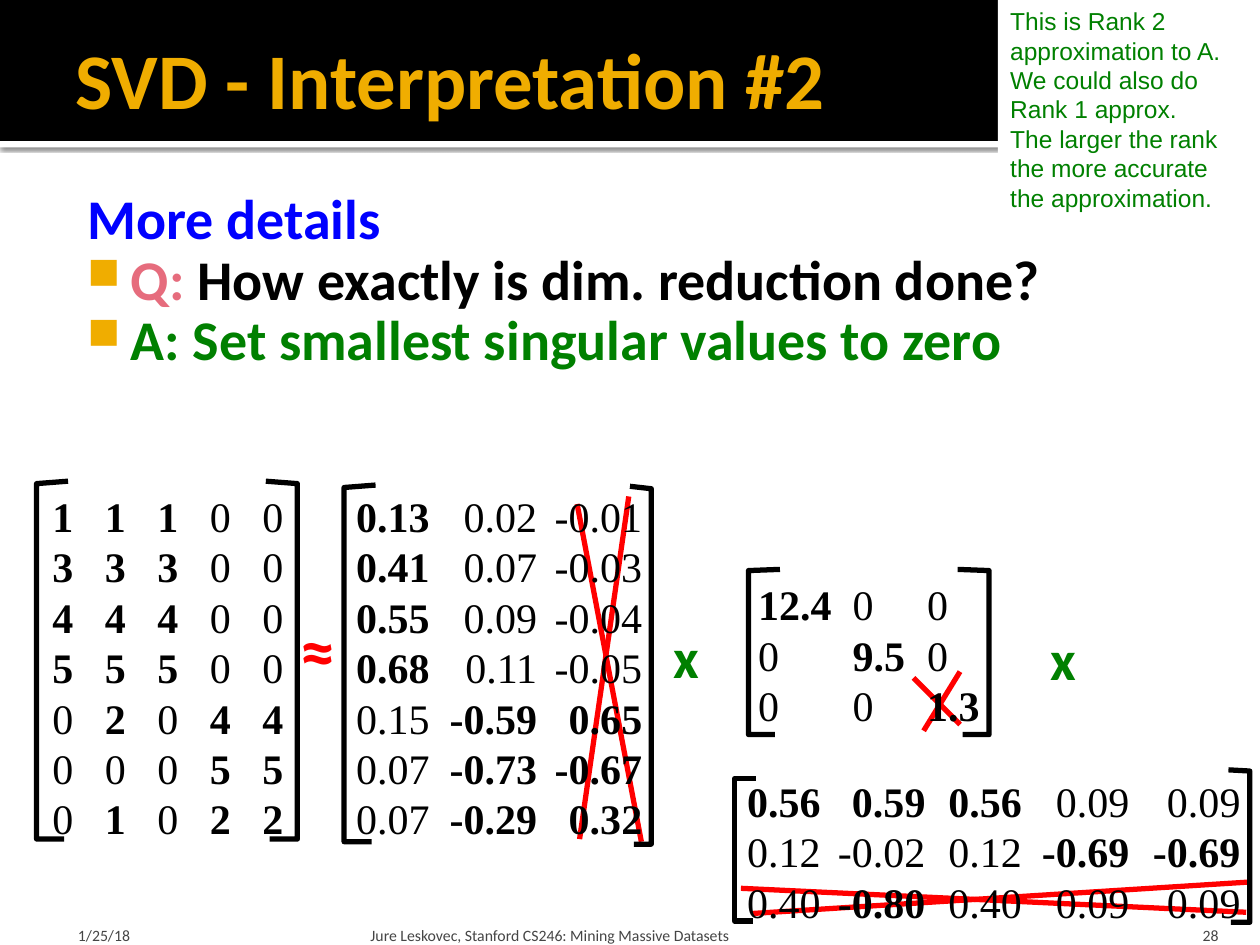
"""Build the slide on SVD dimensionality reduction with its matrix product."""
import pptx
import pptx.dml.color
import pptx.enum.shapes
import pptx.enum.text
import pptx.oxml
import pptx.oxml.ns
import pptx.util
from lxml import etree

Pt = pptx.util.Pt
RGBColor = pptx.dml.color.RGBColor
Anchor = pptx.enum.text.MSO_ANCHOR
Align = pptx.enum.text.PP_ALIGN
RECTANGLE = pptx.enum.shapes.MSO_SHAPE.RECTANGLE
qn = pptx.oxml.ns.qn
NAMESPACE = pptx.oxml.ns.nsdecls("a")

BLACK = RGBColor(0x00, 0x00, 0x00)
WHITE = RGBColor(0xFF, 0xFF, 0xFF)
GOLD = RGBColor(0xF0, 0xAD, 0x00)
BLUE = RGBColor(0x00, 0x00, 0xFF)
ROSE = RGBColor(0xE6, 0x6C, 0x7D)
GREEN = RGBColor(0x00, 0x80, 0x00)
RED = RGBColor(0xFF, 0x00, 0x00)
GRAY = RGBColor(0x45, 0x45, 0x45)


def prepare_frame(box, insets=(7.2, 3.6, 7.2, 3.6), anchor=Anchor.TOP):
    frame = box.text_frame
    frame.word_wrap = True
    frame.vertical_anchor = anchor
    frame.margin_left, frame.margin_top, frame.margin_right, frame.margin_bottom = map(Pt, insets)
    return frame


def style(para, name, size, color=None, bold=None):
    para.font.name = name
    para.font.size = Pt(size)
    para.font.bold = bold
    if color is not None:
        para.font.color.rgb = color


deck = pptx.Presentation()
deck.slide_width, deck.slide_height = Pt(720), Pt(540)
page = deck.slides.add_slide(deck.slide_layouts[6])
shapes = page.shapes

panels = []
for left, top, width, height, color in [
    (0, 80.6, 720, 3.6, WHITE),
    (0, 0, 720, 80.6, BLACK),
]:
    panel = shapes.add_shape(RECTANGLE, Pt(left), Pt(top), Pt(width), Pt(height))
    panel.shadow.inherit = False
    panel.fill.solid()
    panel.fill.fore_color.rgb = color
    panel.line.fill.background()
    panels.append(panel)
panels[0].element.spPr.find(qn("a:effectLst")).append(pptx.oxml.parse_xml(
    f'<a:outerShdw {NAMESPACE} blurRad="31750" dist="10160" dir="5400000">'
    '<a:srgbClr val="000000"><a:alpha val="60000"/></a:srgbClr></a:outerShdw>'))

title = shapes.add_textbox(Pt(36), Pt(5.8), Pt(648), Pt(77.8))
para = prepare_frame(title, (7.2, 3.6, 3.6, 3.6), Anchor.MIDDLE).paragraphs[0]
para.text = "SVD - Interpretation #2"
style(para, "Calibri", 45, GOLD, True)

body = shapes.add_textbox(Pt(36), Pt(102.2), Pt(648), Pt(200))
frame = prepare_frame(body, (4.3, 7.2, 7.2, 3.6))
for index, spans in enumerate([
    [("More details", BLUE)],
    [("Q:", ROSE), (" How exactly is dim. reduction done?", BLACK)],
    [("A: Set smallest singular values to zero", GREEN)],
]):
    para = frame.add_paragraph() if index else frame.paragraphs[0]
    para.line_spacing = 0.9
    props = para._p.get_or_add_pPr()
    props.set("marL", str(Pt(34.5)))
    props.set("indent", str(Pt(-25)))
    if index:
        for markup in (f'<a:buClr {NAMESPACE}><a:srgbClr val="{GOLD}"/></a:buClr>',
                       f'<a:buSzPct {NAMESPACE} val="80000"/>',
                       f'<a:buChar {NAMESPACE} char="■"/>'):
            props.append(pptx.oxml.parse_xml(markup))
    style(para, "Calibri", 32, bold=True)
    for text, color in spans:
        span = para.add_run()
        span.text = text
        span.font.color.rgb = color

for text, left, width, inset, align in [
    ("1/25/18", 36, 167.8, 8.6, Align.LEFT),
    ("Jure Leskovec, Stanford CS246: Mining Massive Datasets", 208.1, 433.4, 3.6, Align.LEFT),
    ("28", 645.8, 57.6, 7.2, Align.RIGHT),
]:
    footer = shapes.add_textbox(Pt(left), Pt(518.4), Pt(width), Pt(21.6))
    para = prepare_frame(footer, (inset, 3.6, inset, 0), Anchor.BOTTOM).paragraphs[0]
    para.text = text
    para.alignment = align
    style(para, "Calibri", 9, GRAY)

for ends in [
    (527.8, 417.6, 548.6, 383.8), (522, 387.4, 548.6, 414),
    (331.2, 479.5, 359.3, 283.7), (329.8, 288, 366.5, 481),
    (712.1, 521.3, 423.4, 507.6), (429.8, 522, 714.2, 504),
]:
    strike = shapes.add_connector(pptx.enum.shapes.MSO_CONNECTOR.STRAIGHT, *map(Pt, ends))
    strike.line.color.rgb = RED
    strike.line.width = Pt(3)
    etree.SubElement(strike._element.spPr, qn("a:effectLst"))

for top_tip, spine, bottom_tip, top, bottom, slant in [
    (38.9, 20.9, 36.7, 275, 479.5, 1.4), (151.9, 169.9, 154.1, 275, 479.5, 1.4),
    (214.6, 196.6, 212.4, 277.2, 481, 1.4), (360, 372.2, 362.2, 277.9, 482.4, 1.4),
    (445.7, 427.7, 442.8, 325.4, 419.8, 0.7), (547.2, 565.2, 550.1, 325.4, 419.8, 0.7),
    (432, 419.8, 430.6, 445, 526.3, 0), (702, 714.2, 703.4, 439.9, 527, 0.7),
]:
    outline = shapes.build_freeform(Pt(top_tip), Pt(top))
    outline.add_line_segments(
        [(Pt(spine), Pt(top + slant)), (Pt(spine), Pt(bottom)), (Pt(bottom_tip), Pt(bottom))],
        close=False)
    bracket = outline.convert_to_shape()
    bracket.shadow.inherit = False
    bracket.fill.background()
    bracket.line.color.rgb = BLACK
    bracket.line.width = Pt(3)

for left, top, width, inset, align, stops, rows in [
    (18, 275, 156.2, 12, "l", (30, 60, 90, 120), [
        "*1 *1 *1 0 0", "*3 *3 *3 0 0", "*4 *4 *4 0 0", "*5 *5 *5 0 0",
        "0 *2 0 *4 *4", "0 0 0 *5 *5", "0 *1 0 *2 *2"]),
    (186.5, 275, 198, 17, "r", (103.5, 163.5), [
        "*0.13 0.02 -0.01", "*0.41 0.07 -0.03", "*0.55 0.09 -0.04", "*0.68 0.11 -0.05",
        "0.15 *-0.59 *0.65", "0.07 *-0.73 *-0.67", "0.07 *-0.29 *0.32"]),
    (426.2, 325.4, 156.2, 7.2, "l", (54, 96.5), [
        "*12.4 0 0", "0 *9.5 0", "0 0 *1.3"]),
    (419.8, 437.8, 300.2, 7.2, "r", (102, 157, 218.5, 282), [
        "*0.56 *0.59 *0.56 0.09 0.09", "0.12 -0.02 0.12 *-0.69 *-0.69",
        "0.40 *-0.80 0.40 0.09 0.09"]),
]:
    matrix = shapes.add_textbox(Pt(left), Pt(top), Pt(width), Pt(28.8 * len(rows) + 8))
    frame = prepare_frame(matrix, (inset, 5.3, 3.6, 2.7))
    for index, row in enumerate(rows):
        para = frame.add_paragraph() if index else frame.paragraphs[0]
        para.line_spacing = Pt(28.8)
        tabs = etree.SubElement(para._p.get_or_add_pPr(), qn("a:tabLst"))
        for stop in stops:
            etree.SubElement(tabs, qn("a:tab"), pos=str(Pt(stop)), algn=align)
        style(para, "Times New Roman", 24, BLACK)
        for column, entry in enumerate(row.split()):
            span = para.add_run()
            span.text = ("\t" if column else "") + entry.lstrip("*")
            span.font.bold = entry.startswith("*")

for text, left, top, width, height, size, color in [
    ("x", 378, 352.1, 31.7, 46.1, 32, GREEN),
    ("x", 593.3, 352.8, 31.7, 46.1, 32, GREEN),
    ("≈", 164.9, 342.7, 36.7, 55.4, 40, RED),
]:
    operator = shapes.add_textbox(Pt(left), Pt(top), Pt(width), Pt(height))
    para = prepare_frame(operator, anchor=Anchor.MIDDLE).paragraphs[0]
    para.text = text
    style(para, "Calibri", size, color, True)

note = shapes.add_shape(RECTANGLE, Pt(570.2), Pt(0), Pt(149.8), Pt(126))
note.shadow.inherit = False
note.fill.solid()
note.fill.fore_color.rgb = WHITE
note.line.fill.background()
frame = prepare_frame(note)
frame.text = ("This is Rank 2 approximation to A. We could also do Rank 1 approx.\n"
              "The larger the rank the more accurate the approximation.")
for para in frame.paragraphs:
    para.alignment = Align.LEFT
    style(para, "Arial", 14, GREEN)

deck.save("out.pptx")
